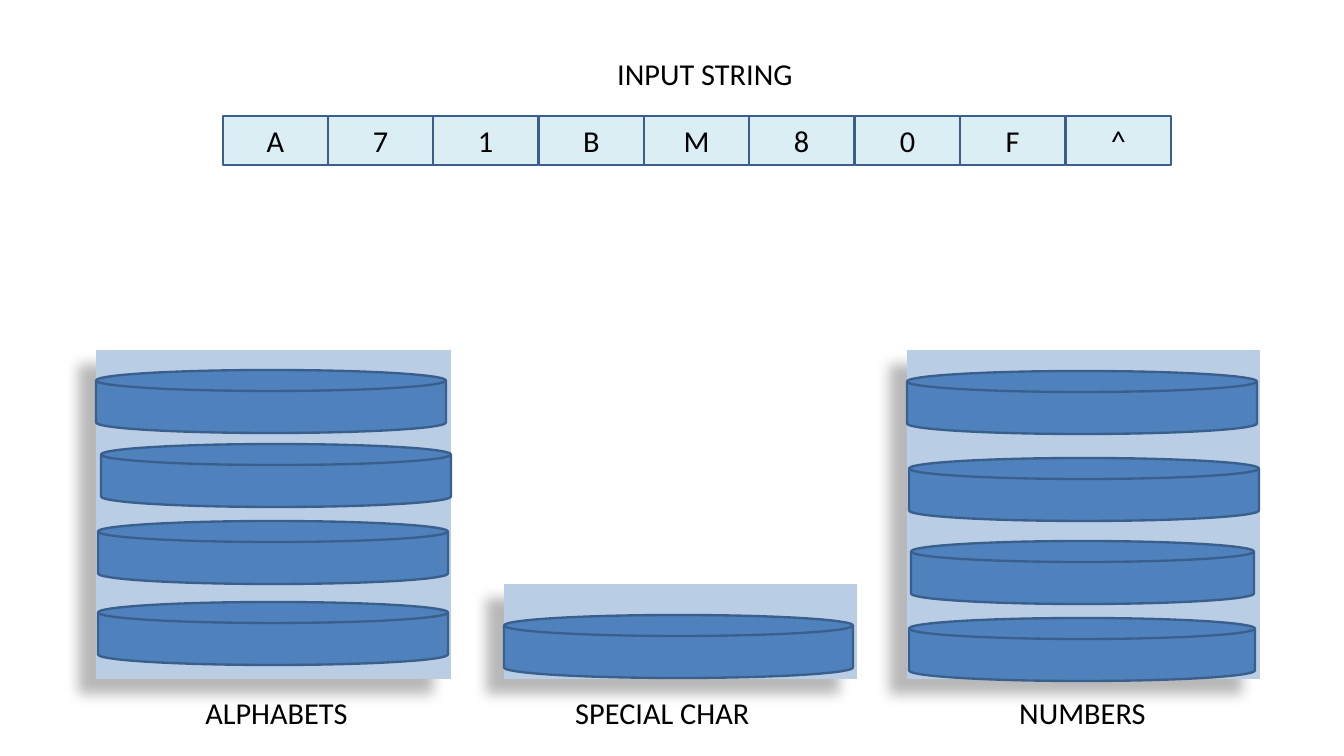
from dataclasses import dataclass

from lxml.etree import SubElement
from pptx import Presentation
from pptx.dml.color import RGBColor as RGB
from pptx.enum.shapes import MSO_SHAPE as SHAPE
from pptx.enum.text import MSO_ANCHOR as ANCHOR, PP_ALIGN as ALIGN
from pptx.oxml.ns import qn
from pptx.util import Emu, Pt

SCALE = 914400 / 84


@dataclass(frozen=True)
class Theme:
    """Colours, font and sizes of the slide."""
    text: str = "000000"
    panel: str = "B9CDE5"
    disk: str = "4F81BD"
    cell: str = "DBEEF4"
    line: str = "3A5F8C"
    shadow: str = "000000"
    font: str = "Calibri"
    size: int = 26
    line_width: int = 2


THEME = Theme()
CELLS = "A71BM80F^"
STACKS = [
    ("ALPHABETS", (96, 350, 355, 329), (101, 266),
     [(0, 20, 350), (5, 94, 350), (2, 171, 350), (2, 252, 350)]),
    ("SPECIAL CHAR", (504, 584, 353, 95), (63, 210),
     [(0, 31, 349)]),
    ("NUMBERS", (907, 350, 353, 329), (104, 210),
     [(0, 21, 350), (2, 108, 350), (4, 191, 343), (2, 268, 346)]),
]


def px(*values):
    """Turn pixel lengths into EMU."""
    return [Emu(round(v * SCALE)) for v in values]


def write(tf, text, align=ALIGN.LEFT, anchor=ANCHOR.TOP, size=THEME.size, color=THEME.text):
    """Write one formatted line into a text frame."""
    tf.word_wrap = True
    tf.vertical_anchor = anchor
    p = tf.paragraphs[0]
    p.alignment = align
    r = p.add_run()
    r.text = text
    r.font.name = THEME.font
    r.font.size = Pt(size)
    r.font.color.rgb = RGB.from_string(color)


def add_label(s, text, box):
    """Add a text box with one line."""
    write(s.shapes.add_textbox(*px(*box)).text_frame, text)


def add_block(s, kind, box, fill, line=None):
    """Add a flat filled shape, outlined if a line colour is given."""
    sp = s.shapes.add_shape(kind, *px(*box))
    sp.shadow.inherit = False
    sp.fill.solid()
    sp.fill.fore_color.rgb = RGB.from_string(fill)
    if line:
        sp.line.color.rgb = RGB.from_string(line)
        sp.line.width = Pt(THEME.line_width)
    else:
        sp.line.fill.background()
    return sp


def cast_shadow(sp):
    """Give a shape a soft shadow towards the lower left."""
    effects = sp.element.spPr.find(qn("a:effectLst"))
    shadow = SubElement(effects, qn("a:outerShdw"), blurRad=str(Pt(11.8)),
                        dist=str(Pt(19.7)), dir=str(141 * 60000),
                        algn="ctr", rotWithShape="0")
    color = SubElement(shadow, qn("a:srgbClr"), val=THEME.shadow)
    SubElement(color, qn("a:alpha"), val="28000")


def add_input(s, box):
    """Draw the titled row of input characters."""
    x, y, w, h = box
    cell_w = 105
    for i, char in enumerate(CELLS):
        left = x + i * (w - cell_w) // (len(CELLS) - 1)
        sp = add_block(s, SHAPE.FLOWCHART_PROCESS, (left, y, cell_w, h),
                       THEME.cell, THEME.line)
        write(sp.text_frame, char, align=ALIGN.CENTER, anchor=ANCHOR.MIDDLE)
    add_label(s, "INPUT STRING", (x + 386, y - 65, 210, 45))


def add_stack(s, name, box, label, disks):
    """Draw a panel with its disks and the name below it."""
    x, y, w, h = box
    cast_shadow(add_block(s, SHAPE.FLOWCHART_PROCESS, box, THEME.panel))
    for dx, dy, disk_w in disks:
        add_block(s, SHAPE.FLOWCHART_MAGNETIC_DISK, (x + dx, y + dy, disk_w, 63),
                  THEME.disk, THEME.line)
    label_dx, label_w = label
    add_label(s, name, (x + label_dx, y + h + 11, label_w, 45))


def main():
    """Build and save the slide."""
    prs = Presentation()
    prs.slide_width, prs.slide_height = px(1344, 756)
    s = prs.slides.add_slide(prs.slide_layouts[6])
    for stack in STACKS:
        add_stack(s, *stack)
    add_input(s, (223, 116, 948, 49))
    prs.save("out.pptx")


if __name__ == "__main__":
    main()
